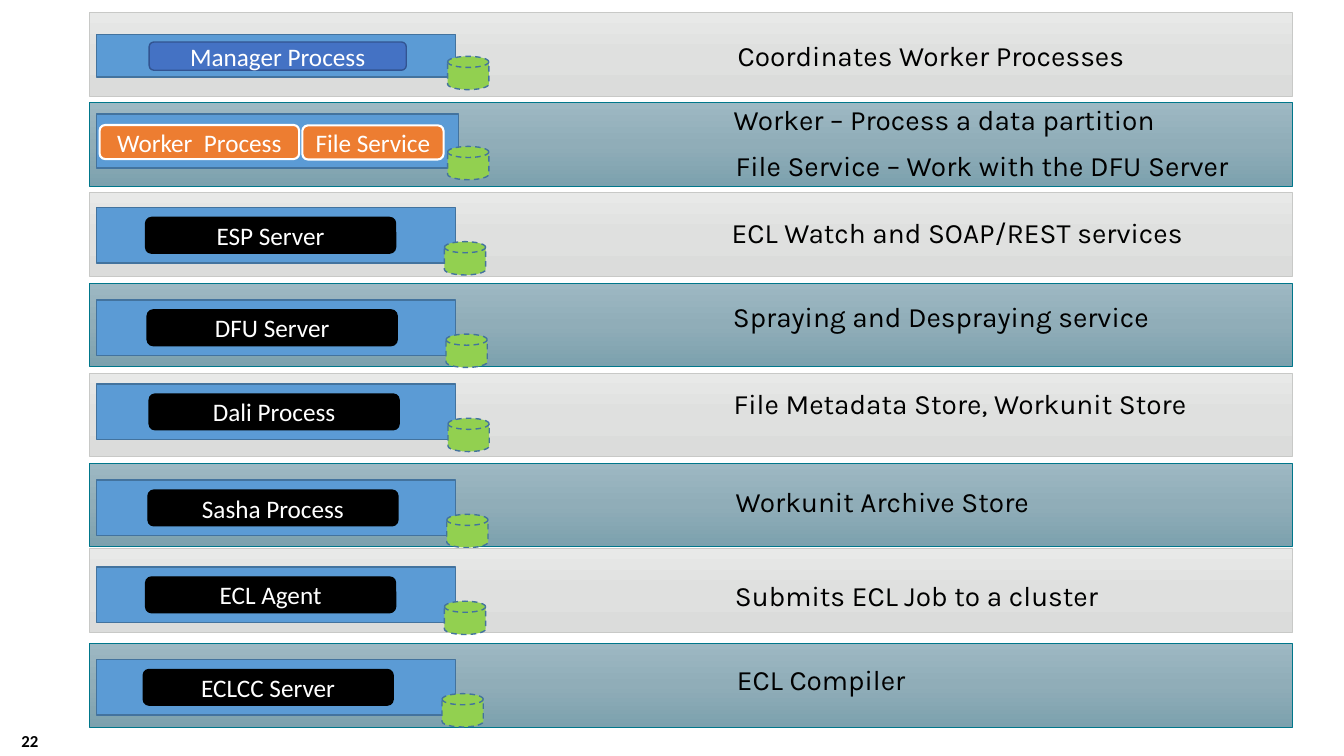
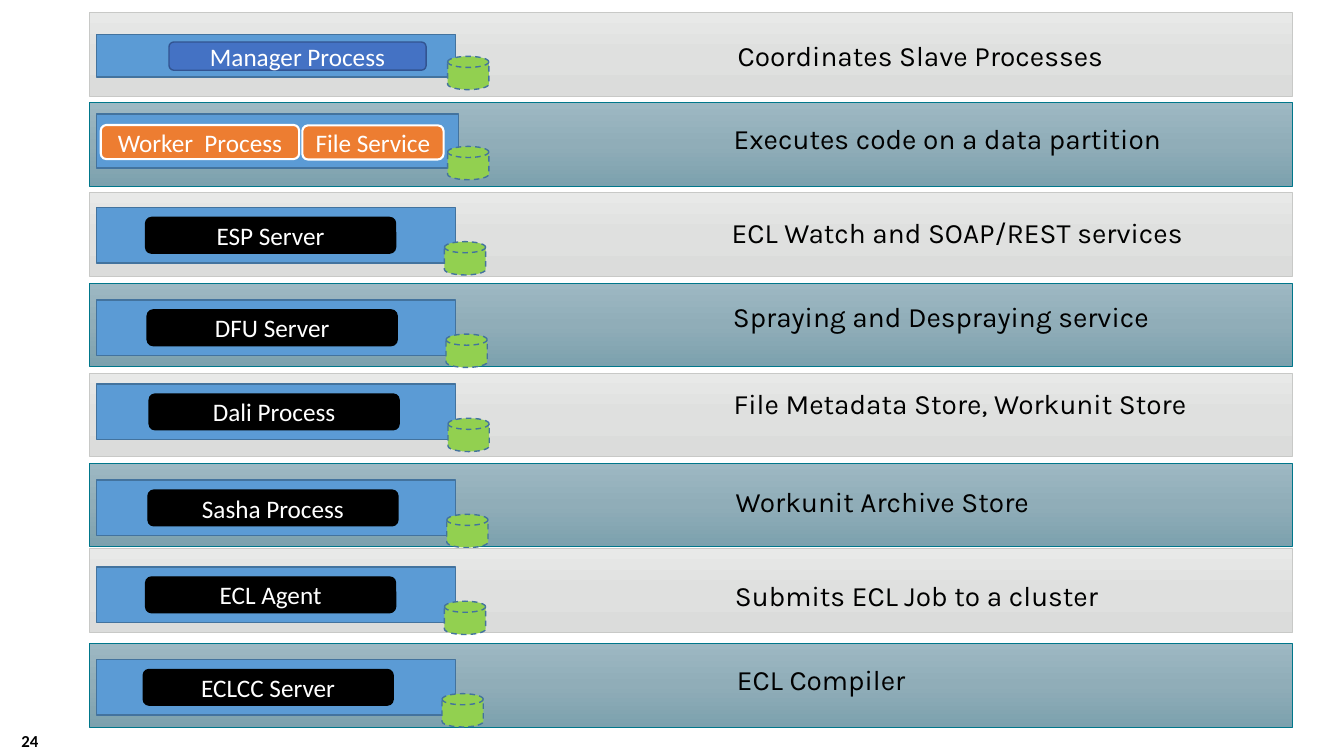
import copy

import pptx
import pptx.dml.color
import pptx.enum.dml
import pptx.enum.shapes
import pptx.enum.text
import pptx.oxml.ns
import pptx.util

Cm = pptx.util.Cm
Pt = pptx.util.Pt
RGBColor = pptx.dml.color.RGBColor
Shape = pptx.enum.shapes.MSO_SHAPE
Align = pptx.enum.text.PP_ALIGN
Anchor = pptx.enum.text.MSO_ANCHOR

BLACK = RGBColor(0x00, 0x00, 0x00)
WHITE = RGBColor(0xFF, 0xFF, 0xFF)
BLUE = RGBColor(0x5B, 0x9B, 0xD5)
NAVY = RGBColor(0x43, 0x73, 0x9E)
ROYAL = RGBColor(0x44, 0x72, 0xC4)
INDIGO = RGBColor(0x32, 0x54, 0x91)
ORANGE = RGBColor(0xED, 0x7D, 0x31)
GREEN = RGBColor(0x92, 0xD0, 0x50)
TEAL = RGBColor(0x00, 0x77, 0x8B)
SILVER = RGBColor(0xC8, 0xC9, 0xC7)
GREYS = [RGBColor(0xE8, 0xE9, 0xE8), RGBColor(0xDF, 0xE0, 0xDF), RGBColor(0xDB, 0xDC, 0xDB)]
SLATES = [RGBColor(0x9D, 0xB8, 0xC3), RGBColor(0x90, 0xAD, 0xB8), RGBColor(0x7C, 0xA1, 0xAE)]
TONES = [(GREYS, SILVER), (SLATES, TEAL)]

LEFT, TOP, PITCH = 2.26, 0.32, 2.27
WIDE, HIGH = 30.3, 2.11

SERVERS = [
    ("ESP Server", 0, 0.37, 1.41, 16.18, 0.56, "ECL Watch and SOAP/REST services"),
    ("DFU Server", 0, 0.43, 1.45, 16.21, 0.41, "Spraying and Despraying service"),
    ("Dali Process", 0, 0.28, 1.5, 16.23, 0.33, "File Metadata Store, Workunit Store"),
    ("Sasha Process", 0, 0.43, 1.47, 16.28, 0.53, "Workunit Archive Store"),
    ("ECL Agent", -0.11, 0.46, 1.41, 16.26, 0.74, "Submits ECL Job to a cluster"),
    ("ECLCC Server", 0, 0.41, 1.35, 16.31, 0.48, "ECL Compiler"),
]


def style(run, font, size, color, bold=False):
    """Set the font of a run."""
    run.font.name, run.font.size = font, Pt(size)
    run.font.color.rgb, run.font.bold = color, bold


def block(slide, kind, box, fill, line, width=1):
    """Add a preset shape with an outline and, if given, a solid fill."""
    shape = slide.shapes.add_shape(kind, *map(Cm, box))
    shape.shadow.inherit = False
    if fill is not None:
        shape.fill.solid()
        shape.fill.fore_color.rgb = fill
    shape.line.color.rgb, shape.line.width = line, Pt(width)
    return shape


def band(slide, top, tone):
    """Draw the shaded strip behind a row."""
    shades, line = tone
    shape = block(slide, Shape.RECTANGLE, (LEFT, top, WIDE, HIGH), None, line, 0.5)
    shape.fill.gradient()
    shape.fill.gradient_angle = 270
    first = next(shape.element.spPr.iter(pptx.oxml.ns.qn("a:gs")))
    first.addnext(copy.deepcopy(first))
    for index, (stop, shade) in enumerate(zip(shape.fill.gradient_stops, shades)):
        stop.position, stop.color.rgb = index / 2, shade


def tag(slide, top, text, box, fill, line, width=1):
    """Draw a rounded process label, placed relative to its band."""
    x, y, w, h = box
    shape = block(slide, Shape.ROUNDED_RECTANGLE, (LEFT + x, top + y, w, h), fill, line, width)
    shape.text_frame.text = text
    shape.text_frame.vertical_anchor = Anchor.MIDDLE
    para = shape.text_frame.paragraphs[0]
    para.alignment = Align.CENTER
    style(para.runs[0], "Calibri", 18, WHITE)


def label(slide, box, text):
    """Add a text box without margins and return it."""
    frame = slide.shapes.add_textbox(*map(Cm, box)).text_frame
    frame.margin_left = frame.margin_right = frame.margin_top = frame.margin_bottom = 0
    frame.word_wrap = True
    frame.text = text
    return frame


def note(slide, top, x, y, text):
    """Describe a process on the right of its band."""
    frame = label(slide, (LEFT + x, top + y, 13.8, 0.95), text)
    style(frame.paragraphs[0].runs[0], "Karla", 20, BLACK)


def row(slide, index, host, disk, tags, notes, slip=0):
    """Draw one band with its host, disk, labels and notes."""
    top = TOP + index * PITCH + slip
    band(slide, top, TONES[index % 2])
    y, w, h = host
    block(slide, Shape.RECTANGLE, (LEFT + 0.18, top + y, w, h), BLUE, NAVY)
    for item in tags:
        tag(slide, top, *item)
    x, y = disk
    drum = block(slide, Shape.FLOWCHART_MAGNETIC_DISK, (LEFT + x, top + y, 1.04, 0.84), GREEN, NAVY)
    drum.line.dash_style = pptx.enum.dml.MSO_LINE.DASH
    for item in notes:
        note(slide, top, *item)


def server(slide, index, name, slip, y, x, left, drop, text):
    """Draw the row of one server process."""
    tags = [(name, (x, y + 0.25, 6.3, 0.9), BLACK, BLACK)]
    row(slide, index, (y, 9.04, 1.4), (x + 7.53, y + 0.86), tags, [(left, drop, text)], slip)


def page(deck, number, lead, shift, edge, duty, tasks):
    """Build one slide of process rows."""
    slide = deck.slides.add_slide(deck.slide_layouts[6])
    boss = [("Manager Process", (shift, 0.74, 6.48, 0.71), ROYAL, INDIGO)]
    row(slide, 0, (0.55, 9.04, 1.07), (9.02, 1.1), boss, [(16.33, 0.64, duty)])
    crew = [
        ("Worker  Process", (edge, 0.56, lead, 0.86), ORANGE, WHITE, 1.5),
        ("File Service", (5.36, 0.57, 3.56, 0.86), ORANGE, WHITE, 1.5),
    ]
    row(slide, 1, (0.28, 9.12, 1.37), (9.02, 1.1), crew, tasks)
    for index, item in enumerate(SERVERS, 2):
        server(slide, index, *item)
    frame = label(slide, (0, 18.29, 0.97, 0.76), number)
    frame.vertical_anchor = Anchor.MIDDLE
    frame.paragraphs[0].alignment = Align.RIGHT
    style(frame.paragraphs[0].runs[0], "Calibri", 12, BLACK, True)


def main():
    """Build and save the deck."""
    deck = pptx.Presentation()
    deck.slide_width, deck.slide_height = Cm(33.87), Cm(19.05)
    page(deck, "22", 5.03, 1.5, 0.25, "Coordinates Worker Processes", [
        (16.23, 0, "Worker – Process a data partition"),
        (16.28, 1.14, "File Service – Work with the DFU Server"),
    ])
    page(deck, "24", 5, 2, 0.28, "Coordinates Slave Processes", [
        (16.23, 0.46, "Executes code on a data partition"),
    ])
    deck.save("out.pptx")


if __name__ == "__main__":
    main()
